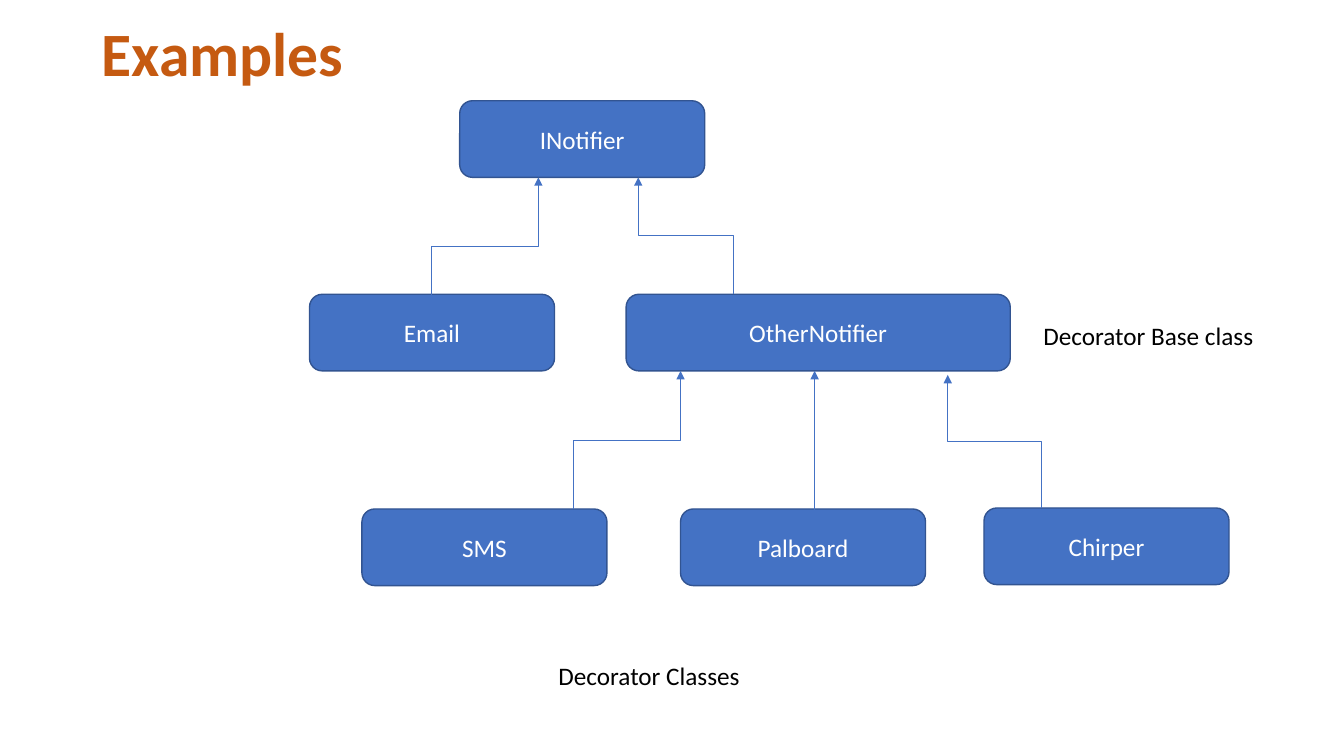
from dataclasses import dataclass

from lxml import etree
from pptx import Presentation
from pptx.dml.color import RGBColor
from pptx.enum import shapes, text
from pptx.oxml import ns
from pptx.util import Inches, Pt

COLORS = {
    "title": "C55A11",
    "box": "4472C4",
    "border": "325491",
    "box_text": "FFFFFF",
    "label": "000000",
}
FONT = "Calibri"
BOX_WIDTH, BOX_HEIGHT = 2.43, 0.76


@dataclass
class ClassBox:
    name: str
    left: float
    top: float
    width: float = BOX_WIDTH


@dataclass
class Arrow:
    """An upward elbow from (x1, y1) to (x2, y2)."""
    x1: float
    y1: float
    x2: float
    y2: float


@dataclass
class Label:
    words: str
    left: float
    top: float
    width: float


CLASS_BOXES = [
    ClassBox("INotifier", 4.56, 1),
    ClassBox("Email", 3.07, 2.92),
    ClassBox("OtherNotifier", 6.21, 2.92, 3.81),
    ClassBox("SMS", 3.59, 5.05),
    ClassBox("Palboard", 6.75, 5.05),
    ClassBox("Chirper", 9.76, 5.04),
]
ARROWS = [
    Arrow(7.27, 2.92, 6.33, 1.76),
    Arrow(4.28, 3.13, 5.34, 1.76),
    Arrow(5.69, 5.05, 6.75, 3.68),
    Arrow(8.08, 5.19, 8.08, 3.68),
    Arrow(10.33, 5.04, 9.4, 3.72),
]
LABELS = [
    Label("Decorator Base class", 10.25, 3.13, 2.43),
    Label("Decorator Classes", 5.44, 6.5, 6.08),
]


def rgb(key: str) -> RGBColor:
    return RGBColor.from_string(COLORS[key])


def write(frame, words: str, *, color: str, size: float = 18, bold: bool = False,
          align=text.PP_ALIGN.LEFT, anchor=text.MSO_ANCHOR.MIDDLE,
          fit=text.MSO_AUTO_SIZE.NONE, spacing: float = 1.0) -> None:
    frame.word_wrap = True
    frame.auto_size = fit
    frame.vertical_anchor = anchor
    paragraph = frame.paragraphs[0]
    paragraph.alignment = align
    paragraph.line_spacing = spacing
    run = paragraph.add_run()
    run.text = words
    run.font.name = FONT
    run.font.size = Pt(size)
    run.font.bold = bold
    run.font.color.rgb = rgb(color)


def draw_box(slide, box: ClassBox) -> None:
    shape = slide.shapes.add_shape(
        shapes.MSO_SHAPE.ROUNDED_RECTANGLE, Inches(box.left), Inches(box.top),
        Inches(box.width), Inches(BOX_HEIGHT))
    shape.shadow.inherit = False
    shape.fill.solid()
    shape.fill.fore_color.rgb = rgb("box")
    shape.line.color.rgb = rgb("border")
    shape.line.width = Pt(1)
    write(shape.text_frame, box.name, color="box_text", align=text.PP_ALIGN.CENTER)


def draw_arrow(slide, arrow: Arrow) -> None:
    # Laid out sideways about its centre, then turned to leave vertically
    center_x, center_y = (arrow.x1 + arrow.x2) / 2, (arrow.y1 + arrow.y2) / 2
    half_rise, half_run = (arrow.y1 - arrow.y2) / 2, (arrow.x2 - arrow.x1) / 2
    elbow = slide.shapes.add_connector(
        shapes.MSO_CONNECTOR.ELBOW,
        Inches(center_x - half_rise), Inches(center_y - half_run),
        Inches(center_x + half_rise), Inches(center_y + half_run))
    elbow.line.color.rgb = rgb("box")
    elbow.line.width = Pt(0.5)
    properties = elbow._element.spPr
    properties.find(ns.qn("a:xfrm")).set("rot", str(270 * 60000))
    etree.SubElement(properties.find(ns.qn("a:ln")), ns.qn("a:tailEnd"), type="triangle")
    etree.SubElement(properties, ns.qn("a:effectLst"))


def draw_label(slide, label: Label) -> None:
    box = slide.shapes.add_textbox(
        Inches(label.left), Inches(label.top), Inches(label.width), Inches(0.4))
    write(box.text_frame, label.words, color="label", anchor=text.MSO_ANCHOR.TOP,
          fit=text.MSO_AUTO_SIZE.SHAPE_TO_FIT_TEXT)


def main() -> None:
    deck = Presentation()
    deck.slide_width, deck.slide_height = Inches(13.33), Inches(7.5)
    slide = deck.slides.add_slide(deck.slide_layouts[5])

    # Title
    title = slide.shapes.title
    title.left, title.top = Inches(0.91), Inches(0.13)
    title.width, title.height = Inches(11.5), Inches(0.87)
    write(title.text_frame, "Examples", color="title", size=44, bold=True, spacing=0.9)

    # Class hierarchy
    for box in CLASS_BOXES:
        draw_box(slide, box)
    for arrow in ARROWS:
        draw_arrow(slide, arrow)

    # Captions
    for label in LABELS:
        draw_label(slide, label)

    deck.save("out.pptx")


if __name__ == "__main__":
    main()
